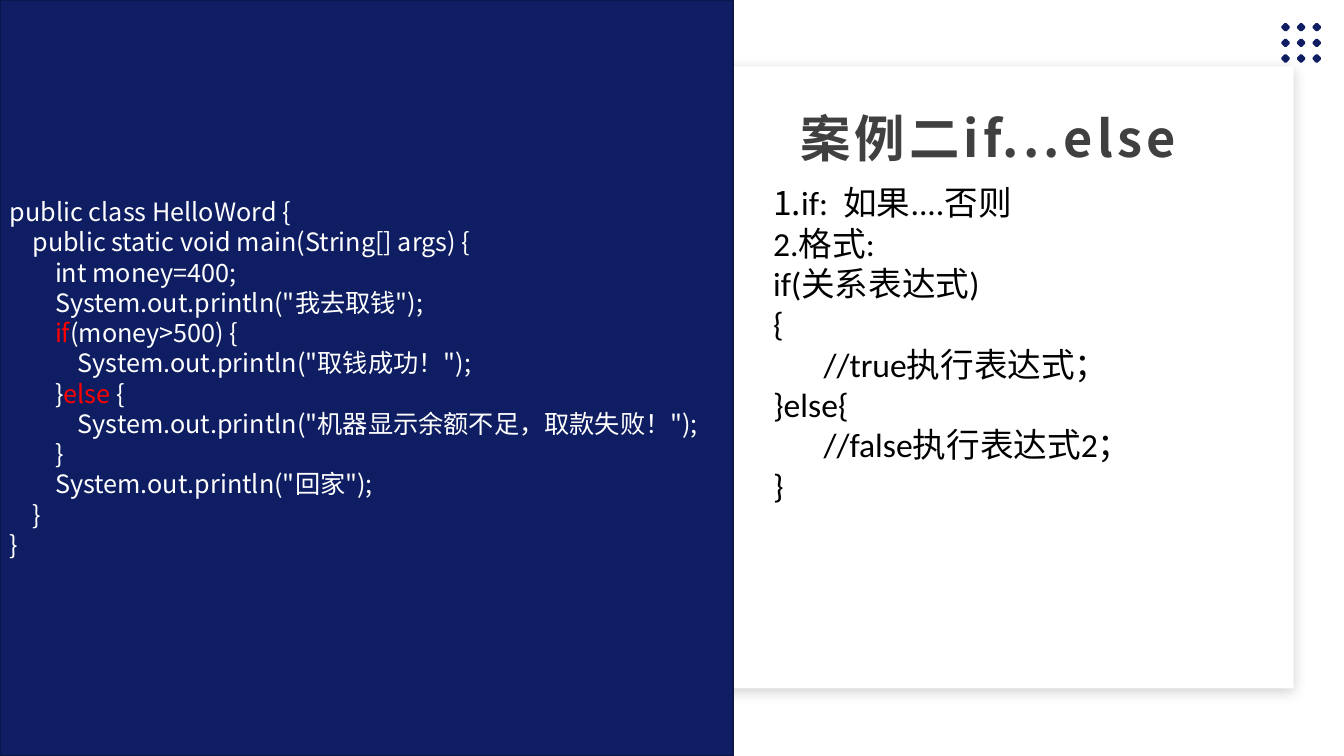
from pptx import Presentation
from pptx.dml.color import RGBColor
from pptx.enum import shapes, text
from pptx.oxml import parse_xml
from pptx.oxml.ns import nsdecls, qn
from pptx.util import Inches, Pt

NAVY = RGBColor(0x0F, 0x1E, 0x62)
NAVY_EDGE = RGBColor(0x0B, 0x16, 0x49)
PALE = RGBColor(0xF2, 0xF2, 0xF2)
WHITE = RGBColor(0xFF, 0xFF, 0xFF)
GREY = RGBColor(0x40, 0x40, 0x40)
RED = RGBColor(0xFF, 0x00, 0x00)
BLACK = RGBColor(0x00, 0x00, 0x00)
CJK, LATIN = "Noto Sans CJK SC", "Calibri"

TITLE = "案例二if...else"
CODE = [
    ["public class HelloWord {"],
    ["    public static void main(String[] args) {"],
    ["        int money=400;"],
    ['        System.out.println("我去取钱");'],
    ["       ", " if", "(money>500) {"],
    ['            System.out.println("取钱成功！");'],
    ["        }", "else", " {"],
    ['            System.out.println("机器显示余额不足，取款失败！");'],
    ["        }"],
    ['        System.out.println("回家");'],
    ["    }"],
    ["}"],
]
KEYWORDS = ("if", "else")
NOTES = [
    ["1.", "if:  如果....否则"],
    ["2.格式:"],
    ["if(关系表达式)"],
    ["{"],
    ["\t//true执行表达式；"],
    ["}else{"],
    ["\t//false执行表达式2；"],
    ["}"],
]
DOT_LEFT, DOT_TOP, DOT_STEP = 12.75, 0.27, 0.155
DOT_OUTLINE = [(-0.01, -0.04), (0.01, -0.04), (0.04, -0.01), (0.04, 0.01),
               (0.01, 0.04), (-0.01, 0.04), (-0.04, 0.01), (-0.04, -0.01)]


def add_rectangle(slide, left, top, width, height, color):
    """Add a flat filled rectangle without an outline."""
    shape = slide.shapes.add_shape(shapes.MSO_SHAPE.RECTANGLE, Inches(left),
                                   Inches(top), Inches(width), Inches(height))
    shape.shadow.inherit = False
    shape.fill.solid()
    shape.fill.fore_color.rgb = color
    shape.line.fill.background()
    return shape


def format_run(run, size, color, font=CJK):
    """Set the size, colour and both fonts of a run."""
    run.font.size = Pt(size)
    run.font.color.rgb = color
    run.font.name = font
    east_asian = run.font._element.makeelement(qn("a:ea"), {"typeface": CJK})
    run.font._element.find(qn("a:latin")).addnext(east_asian)


def write_lines(frame, lines, size, pick_style):
    """Write one left-aligned paragraph for each list of run texts."""
    for index, pieces in enumerate(lines):
        paragraph = frame.add_paragraph() if index else frame.paragraphs[0]
        paragraph.alignment = text.PP_ALIGN.LEFT
        for piece in pieces:
            run = paragraph.add_run()
            run.text = piece
            format_run(run, size, *pick_style(piece))


def add_card(slide):
    """Add the white card with its soft shadow."""
    card = add_rectangle(slide, 0.5, 0.66, 12.33, 6.17, WHITE)
    effects = card._element.spPr.find(qn("a:effectLst"))
    effects.append(parse_xml(
        f'<a:outerShdw {nsdecls("a")} blurRad="{Pt(10)}" dist="{Pt(3)}" '
        'dir="5400000" algn="t" rotWithShape="0"><a:srgbClr val="0D0D0D">'
        '<a:alpha val="20000"/></a:srgbClr></a:outerShdw>'))


def add_dots(slide):
    """Draw the three by three dot grid as one freeform."""
    builder = None
    for index in range(9):
        row, column = divmod(index, 3)
        x, y = DOT_LEFT + column * DOT_STEP, DOT_TOP + row * DOT_STEP
        points = [(Inches(x + dx), Inches(y + dy)) for dx, dy in DOT_OUTLINE]
        if builder is None:
            builder = slide.shapes.build_freeform(*points[0])
        else:
            builder.move_to(*points[0])
        builder.add_line_segments(points[1:], close=True)
    dots = builder.convert_to_shape()
    dots.shadow.inherit = False
    dots.fill.solid()
    dots.fill.fore_color.rgb = NAVY
    dots.line.fill.background()


def place_title(slide):
    """Move the title onto the card and format it."""
    title = slide.shapes.title
    slide.shapes._spTree.append(title._element)
    title.left, title.top = Inches(7.57), Inches(0.78)
    title.width, title.height = Inches(4.46), Inches(1.12)
    frame = title.text_frame
    frame.text = TITLE
    frame.word_wrap = True
    frame.auto_size = text.MSO_AUTO_SIZE.NONE
    frame.vertical_anchor = text.MSO_ANCHOR.MIDDLE
    frame.margin_left = frame.margin_right = Inches(0.08)
    frame.margin_top, frame.margin_bottom = Inches(0.04), Inches(0.12)
    paragraph = frame.paragraphs[0]
    paragraph.alignment = text.PP_ALIGN.CENTER
    paragraph.line_spacing = 1.2
    run = paragraph.runs[0]
    format_run(run, 36, GREY)
    run.font.bold = True
    run.font._element.set("spc", "300")


def add_code(slide):
    """Add the navy panel with the program."""
    panel = add_rectangle(slide, 0, 0, 7.27, 7.5, NAVY)
    panel.line.color.rgb = NAVY_EDGE
    panel.line.width = Pt(1)
    panel.text_frame.vertical_anchor = text.MSO_ANCHOR.MIDDLE
    write_lines(panel.text_frame, CODE, 18,
                lambda piece: (RED if piece.strip() in KEYWORDS else WHITE,))


def add_notes(slide):
    """Add the explanation of the statement."""
    box = slide.shapes.add_textbox(Inches(7.57), Inches(1.76),
                                   Inches(4.99), Inches(3.73))
    box.text_frame.word_wrap = True
    box.text_frame.auto_size = text.MSO_AUTO_SIZE.SHAPE_TO_FIT_TEXT
    write_lines(box.text_frame, NOTES, 24,
                lambda piece: (BLACK, CJK if piece == "1." else LATIN))


def main():
    """Build the slide and save it."""
    presentation = Presentation()
    presentation.slide_width = Inches(13.33)
    presentation.slide_height = Inches(7.5)
    slide = presentation.slides.add_slide(presentation.slide_layouts[5])
    add_rectangle(slide, 0, 0, 4.43, 7.5, PALE)
    add_dots(slide)
    add_card(slide)
    place_title(slide)
    add_code(slide)
    add_notes(slide)
    presentation.save("out.pptx")


if __name__ == "__main__":
    main()
